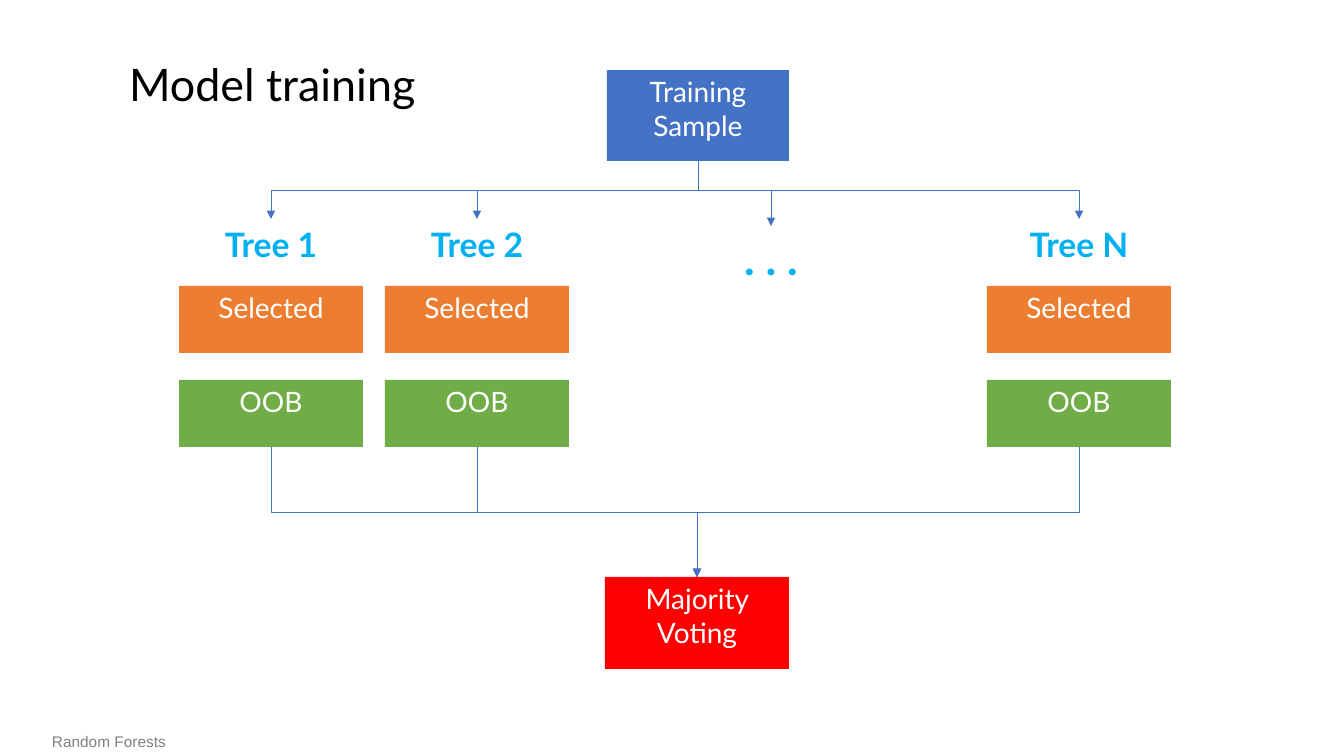
"""Build the random forest model training slide."""
from lxml import etree
from pptx import Presentation
from pptx.dml.color import RGBColor
from pptx.enum.shapes import MSO_CONNECTOR, MSO_SHAPE
from pptx.enum.text import MSO_ANCHOR, PP_ALIGN
from pptx.oxml.ns import qn
from pptx.util import Pt

ELBOW = MSO_CONNECTOR.ELBOW
RECTANGLE = MSO_SHAPE.RECTANGLE
TOP = MSO_ANCHOR.TOP
LEFT, CENTER = PP_ALIGN.LEFT, PP_ALIGN.CENTER

BLACK = RGBColor(0x00, 0x00, 0x00)
WHITE = RGBColor(0xFF, 0xFF, 0xFF)
GRAY = RGBColor(0x80, 0x80, 0x80)
BLUE = RGBColor(0x44, 0x72, 0xC4)
SKY = RGBColor(0x00, 0xB0, 0xF0)
ORANGE = RGBColor(0xED, 0x7D, 0x31)
GREEN = RGBColor(0x70, 0xAD, 0x47)
RED = RGBColor(0xFF, 0x00, 0x00)

EMU_PER_PX = 914400 / 100.8
CELL_WIDTH, CELL_HEIGHT = 184, 67
TREES = {"Tree 1": 179, "Tree 2": 385, "Tree N": 987}
LABEL_TOP, SELECTED_TOP, OOB_TOP = 219, 286, 380
DOTS_LEFT, DOTS_TOP = 679, 226
SAMPLE_CENTER, SAMPLE_BOTTOM, SPLIT_Y = 698, 161, 190
VOTING_CENTER, VOTING_TOP, MERGE_Y = 697, 577, 512


def px(length):
    """Turn a length in px into EMU."""
    return round(length * EMU_PER_PX)


def write(box, text, size, color, align=CENTER, font="Lato", bold=False):
    """Write one formatted paragraph at the top of a box."""
    frame = box.text_frame
    frame.word_wrap = True
    frame.vertical_anchor = TOP
    para = frame.paragraphs[0]
    para.alignment = align
    span = para.add_run()
    span.text = text
    span.font.name = font
    span.font.size = Pt(size)
    span.font.bold = bold
    span.font.color.rgb = color


def add_title(page, text):
    """Place and fill the title placeholder."""
    title = page.shapes.title
    title.left, title.top, title.width, title.height = map(px, (119, 52, 741, 65))
    write(title, text, 32, BLACK, LEFT)


def add_label(page, text, area, size, color, **style):
    """Add a text box."""
    box = page.shapes.add_textbox(*map(px, area))
    write(box, text, size, color, **style)


def add_block(page, text, area, fill):
    """Add a filled rectangle with white text."""
    block = page.shapes.add_shape(RECTANGLE, *map(px, area))
    block.shadow.inherit = False
    block.fill.solid()
    block.fill.fore_color.rgb = fill
    block.line.fill.background()
    write(block, text, 20, WHITE)


def add_branch(page, start, end, bend_y):
    """Add an arrow going down, across at bend_y, and down again."""
    (start_x, start_y), (end_x, end_y) = start, end
    drop, span = end_y - start_y, abs(end_x - start_x)
    left = (start_x + end_x - drop) / 2
    top = (start_y + end_y - span) / 2
    sides = [left, left + drop]
    rightward = end_x > start_x
    if rightward:
        sides.reverse()
    branch = page.shapes.add_connector(
        ELBOW, px(sides[0]), px(top), px(sides[1]), px(top + span))
    branch.line.color.rgb = BLUE
    branch.line.width = Pt(0.5)
    properties = branch._element.spPr
    properties.find(qn("a:xfrm")).set("rot", "16200000" if rightward else "5400000")
    guides = properties.find(qn("a:prstGeom")).find(qn("a:avLst"))
    share = round((bend_y - start_y) / drop * 100000)
    etree.SubElement(guides, qn("a:gd"), name="adj1", fmla=f"val {share}")
    line = properties.find(qn("a:ln"))
    etree.SubElement(line, qn("a:tailEnd"), type="triangle")
    etree.SubElement(properties, qn("a:effectLst"))


def add_tree(page, name, left):
    """Add one tree column with its incoming and outgoing arrows."""
    center = left + CELL_WIDTH // 2
    add_label(page, name, (left, LABEL_TOP, CELL_WIDTH, CELL_HEIGHT), 24, SKY, bold=True)
    for text, top, fill in (("Selected", SELECTED_TOP, ORANGE), ("OOB", OOB_TOP, GREEN)):
        add_block(page, text, (left, top, CELL_WIDTH, CELL_HEIGHT), fill)
    add_branch(page, (SAMPLE_CENTER, SAMPLE_BOTTOM), (center, LABEL_TOP), SPLIT_Y)
    add_branch(page, (center, OOB_TOP + CELL_HEIGHT), (VOTING_CENTER, VOTING_TOP), MERGE_Y)


def main():
    """Build and save the deck."""
    deck = Presentation()
    deck.slide_width, deck.slide_height = px(1344), px(756)
    page = deck.slides.add_slide(deck.slide_layouts[5])
    add_title(page, "Model training")
    add_label(page, "Random Forests", (42, 727, 229, 29), 11, GRAY, align=LEFT, font="Arial")
    add_block(page, "Training Sample", (607, 70, 182, 91), BLUE)
    for name, left in TREES.items():
        add_tree(page, name, left)
    add_label(page, ". . .", (DOTS_LEFT, DOTS_TOP, CELL_WIDTH, CELL_HEIGHT), 32, SKY, bold=True)
    add_branch(page, (SAMPLE_CENTER, SAMPLE_BOTTOM),
               (DOTS_LEFT + CELL_WIDTH // 2, DOTS_TOP), SPLIT_Y)
    add_block(page, "Majority Voting", (605, VOTING_TOP, CELL_WIDTH, 92), RED)
    deck.save("out.pptx")


if __name__ == "__main__":
    main()
